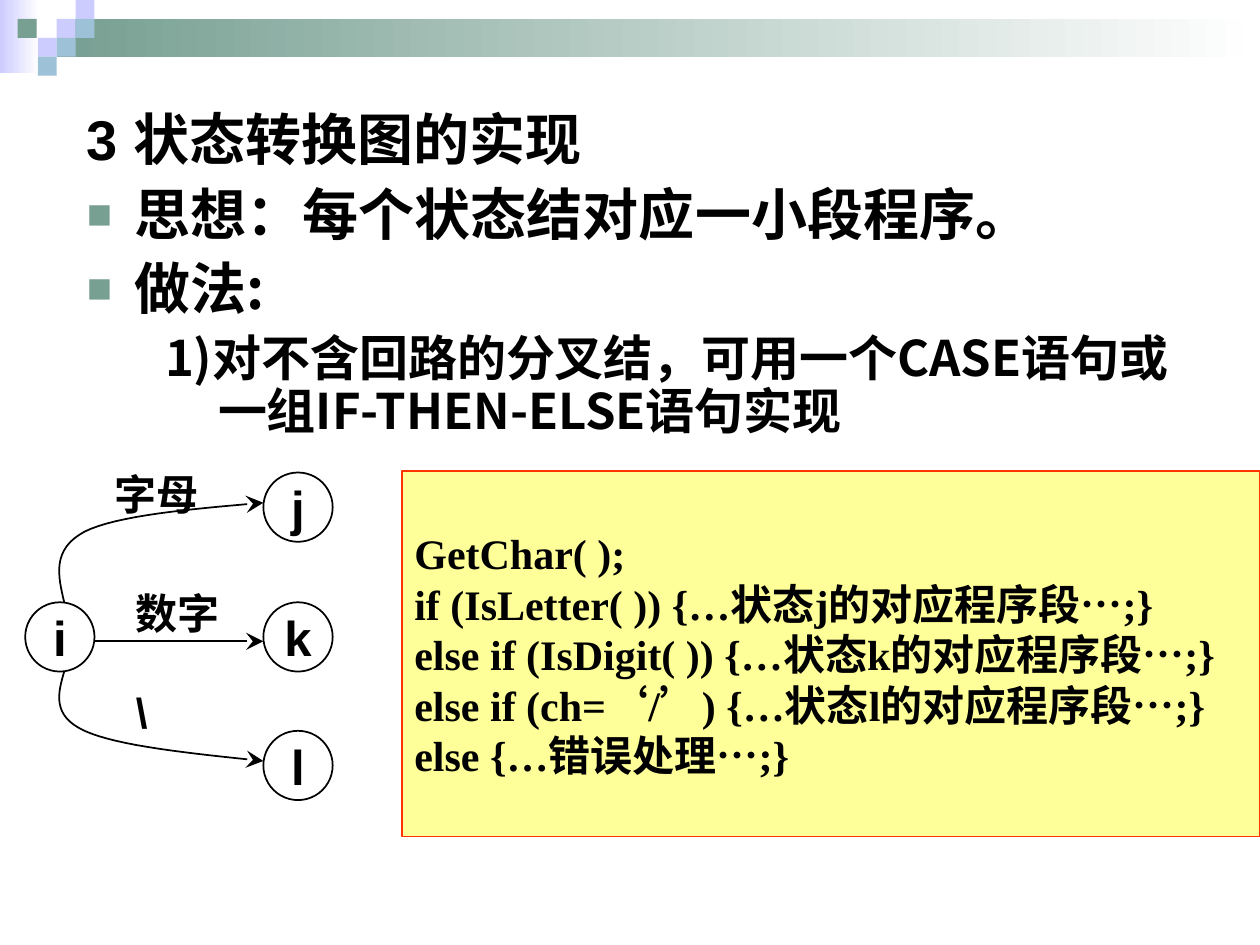
import dataclasses

import lxml.etree
import pptx
import pptx.dml.color
import pptx.enum.shapes
import pptx.enum.text
import pptx.oxml.ns
import pptx.util

Inches = pptx.util.Inches
Pt = pptx.util.Pt
RGB = pptx.dml.color.RGBColor
SHAPE = pptx.enum.shapes.MSO_SHAPE
ALIGN = pptx.enum.text.PP_ALIGN
ANCHOR = pptx.enum.text.MSO_ANCHOR
AUTO_SIZE = pptx.enum.text.MSO_AUTO_SIZE
qn = pptx.oxml.ns.qn

BLACK = RGB(0x00, 0x00, 0x00)
WHITE = RGB(0xFF, 0xFF, 0xFF)
LILAC = RGB(0xCC, 0xCC, 0xFF)
GREEN = RGB(0x77, 0x9F, 0x92)
BLUE = RGB(0x9D, 0xC2, 0xD7)
YELLOW = RGB(0xFF, 0xFF, 0x99)
RED = RGB(0xFF, 0x33, 0x00)
CJK = "Noto Sans CJK SC"
SANS = "Arial"
SERIF = "Times New Roman"
TILE = 0.15
NODE = 0.55


@dataclasses.dataclass
class Box:
    x: float
    y: float
    w: float
    h: float

    def lengths(self):
        return [Inches(v) for v in (self.x, self.y, self.w, self.h)]


@dataclasses.dataclass
class Tile:
    x: float
    y: float
    color: RGB


@dataclasses.dataclass
class Label:
    text: str
    box: Box


@dataclasses.dataclass
class BodyLine:
    runs: list
    size: int = 32
    level: int = 0
    left: float = 0.38
    hanging: float = 0.38
    before: int = 8
    bullet: bool = False


TILES = [
    Tile(0.45, 0.15, LILAC), Tile(0.6, 0, LILAC), Tile(0.6, 0.15, BLUE),
    Tile(0.3, 0.3, LILAC), Tile(0.14, 0.15, GREEN), Tile(0.45, 0.3, BLUE),
    Tile(0.3, 0.45, BLUE),
]
BODY = [
    BodyLine([("3 ", SANS), ("状态转换图的实现", CJK)]),
    BodyLine([("思想：每个状态结对应一小段程序。", CJK)], bullet=True),
    BodyLine([("做法:", CJK)], bullet=True),
    BodyLine([("1)对不含回路的分叉结，可用一个CASE语句或一组IF-THEN-ELSE语句实现", CJK)],
             size=28, level=1, left=1.04, hanging=0.42, before=7),
]
CODE = [
    "GetChar( );",
    "if (IsLetter( )) {…状态j的对应程序段…;}",
    "else if (IsDigit( )) {…状态k的对应程序段…;}",
    "else if (ch=‘/’) {…状态l的对应程序段…;}",
    "else {…错误处理…;}",
]
NODES = [
    Label(text, Box(x, y, NODE, NODE))
    for text, x, y in [("i", 0.2, 4.78), ("j", 2.09, 3.75), ("k", 2.09, 4.78), ("l", 2.09, 5.8)]
]
CURVES = [
    [(0.51, 4.78), (0.46, 4.57), (0.41, 4.36), (0.67, 4.22), (0.93, 4.09), (1.51, 4.04), (2.09, 3.99)],
    [(0.51, 5.33), (0.46, 5.5), (0.41, 5.68), (0.67, 5.8), (0.93, 5.92), (1.51, 5.98), (2.09, 6.04)],
]
EDGE_LABELS = [
    Label("字母", Box(0.81, 3.67, 0.88, 0.5)),
    Label("数字", Box(0.98, 4.61, 0.88, 0.5)),
    Label("\\", Box(0.98, 5.4, 0.29, 0.5)),
]


def add_run(p, text: str, font=SANS, size=24, color=BLACK, bold=True):
    r = p.add_run()
    r.text = text
    r.font.name = font
    r.font.size = Pt(size)
    r.font.color.rgb = color
    r.font.bold = bold
    r.font._element.find(qn("a:latin")).addnext(
        r.font._element.makeelement(qn("a:ea"), {"typeface": CJK}))


def add_panel(s, kind, box: Box, fill=None, line=None):
    sp = s.shapes.add_shape(kind, *box.lengths())
    sp.shadow.inherit = False
    if fill is None:
        sp.fill.background()
    else:
        sp.fill.solid()
        sp.fill.fore_color.rgb = fill
    if line is None:
        sp.line.fill.background()
    else:
        sp.line.color.rgb = line
        sp.line.width = Pt(1)
    return sp


def add_fade(s, box: Box, color: RGB) -> None:
    sp = add_panel(s, SHAPE.RECTANGLE, box)
    sp.fill.gradient()
    sp.fill.gradient_angle = 180
    for stop, rgb in zip(sp.fill.gradient_stops, (WHITE, color)):
        stop.color.rgb = rgb


def add_body(s) -> None:
    sp = s.placeholders[1]
    sp.left, sp.top, sp.width, sp.height = Box(0.59, 0.84, 9, 6.33).lengths()
    tf = sp.text_frame
    tf.auto_size = AUTO_SIZE.NONE
    for i, line in enumerate(BODY):
        p = tf.add_paragraph() if i else tf.paragraphs[0]
        p.level = line.level
        p.line_spacing = 0.9
        p.space_before = Pt(line.before)
        pPr = p._p.get_or_add_pPr()
        pPr.set("marL", str(Inches(line.left)))
        pPr.set("indent", str(-Inches(line.hanging)))
        if line.bullet:
            clr = lxml.etree.SubElement(pPr, qn("a:buClr"))
            lxml.etree.SubElement(clr, qn("a:srgbClr"), val=str(GREEN))
            lxml.etree.SubElement(pPr, qn("a:buSzPct"), val="75000")
            lxml.etree.SubElement(pPr, qn("a:buFont"), typeface=SANS)
            lxml.etree.SubElement(pPr, qn("a:buChar"), char="■")
        else:
            lxml.etree.SubElement(pPr, qn("a:buNone"))
        for text, font in line.runs:
            add_run(p, text, font=font, size=line.size)


def add_code(s) -> None:
    tf = add_panel(s, SHAPE.RECTANGLE, Box(3.19, 3.74, 6.81, 2.9), YELLOW, RED).text_frame
    tf.word_wrap = True
    tf.vertical_anchor = ANCHOR.MIDDLE
    for i, text in enumerate(CODE):
        p = tf.add_paragraph() if i else tf.paragraphs[0]
        p.alignment = ALIGN.LEFT
        add_run(p, text, font=SERIF)


def add_node(s, node: Label) -> None:
    tf = add_panel(s, SHAPE.OVAL, node.box, line=BLACK).text_frame
    tf.word_wrap = False
    tf.vertical_anchor = ANCHOR.MIDDLE
    p = tf.paragraphs[0]
    p.alignment = ALIGN.CENTER
    add_run(p, node.text, size=28)


def add_edge_label(s, label: Label) -> None:
    tf = s.shapes.add_textbox(*label.box.lengths()).text_frame
    tf.word_wrap = False
    tf.auto_size = AUTO_SIZE.SHAPE_TO_FIT_TEXT
    add_run(tf.paragraphs[0], label.text)


def style_arrow(sp) -> None:
    sp.line.color.rgb = BLACK
    sp.line.width = Pt(1)
    lxml.etree.SubElement(sp.line._get_or_add_ln(), qn("a:tailEnd"), type="stealth", w="lg", len="lg")


def bezier(points: list, t: float) -> tuple:
    weights = ((1 - t) ** 3, 3 * t * (1 - t) ** 2, 3 * t ** 2 * (1 - t), t ** 3)
    return tuple(Inches(sum(w * pt[axis] for w, pt in zip(weights, points))) for axis in (0, 1))


def add_curve(s, points: list, steps: int = 16) -> None:
    path = [bezier(points[k:k + 4], i / steps) for k in (0, 3) for i in range(1, steps + 1)]
    fb = s.shapes.build_freeform(*bezier(points[:4], 0))
    fb.add_line_segments(path, close=False)
    sp = fb.convert_to_shape()
    sp.shadow.inherit = False
    sp.fill.background()
    style_arrow(sp)


def main() -> None:
    prs = pptx.Presentation()
    prs.slide_width, prs.slide_height = Inches(10), Inches(7.5)
    s = prs.slides.add_slide(prs.slide_layouts[1])
    title = s.shapes.title._element
    title.getparent().remove(title)
    add_fade(s, Box(0, 0, 0.31, 0.58), LILAC)
    add_fade(s, Box(0.45, 0.15, 9.55, 0.3), GREEN)
    for tile in TILES:
        add_panel(s, SHAPE.RECTANGLE, Box(tile.x, tile.y, TILE, TILE), tile.color)
    add_body(s)
    add_code(s)
    for node in NODES:
        add_node(s, node)
    y = Inches(5.09)
    line = s.shapes.add_connector(pptx.enum.shapes.MSO_CONNECTOR.STRAIGHT, Inches(0.75), y, Inches(2.09), y)
    style_arrow(line)
    lxml.etree.SubElement(line._element.spPr, qn("a:effectLst"))
    for points in CURVES:
        add_curve(s, points)
    for label in EDGE_LABELS:
        add_edge_label(s, label)
    prs.save("out.pptx")


if __name__ == "__main__":
    main()
